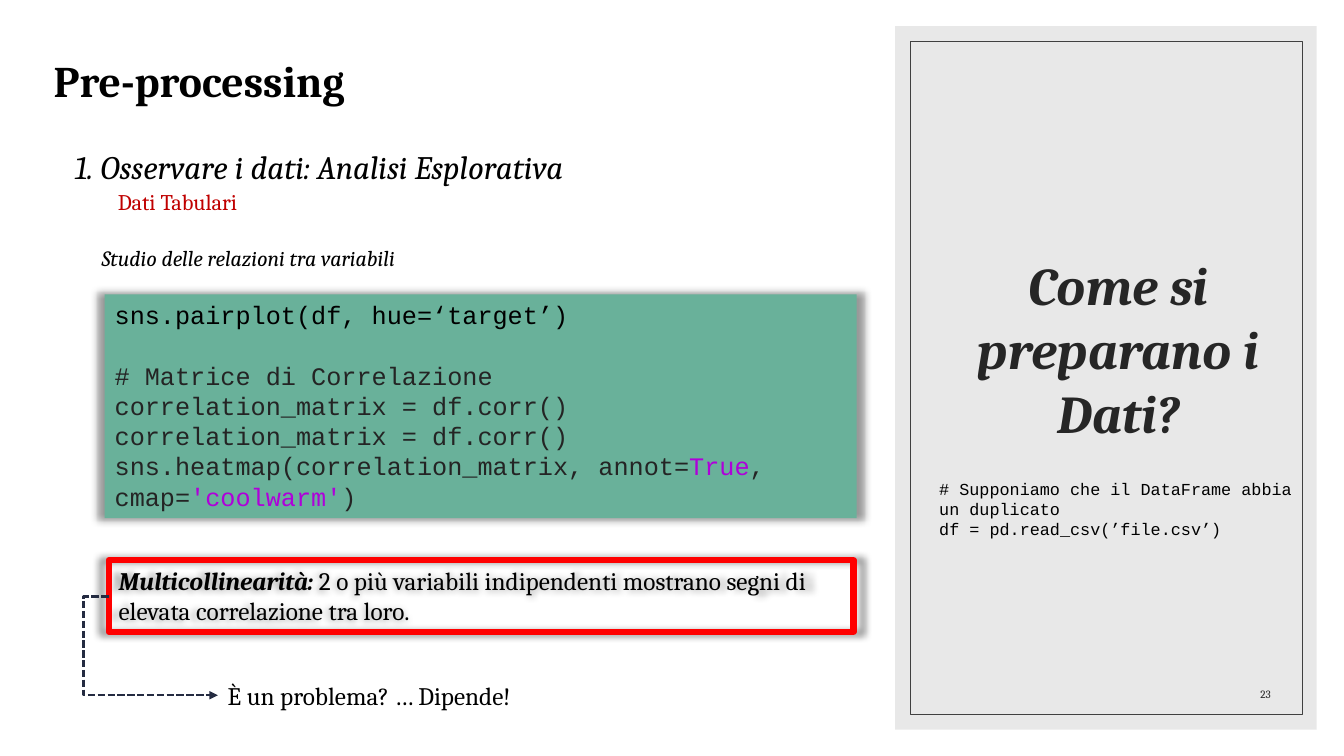
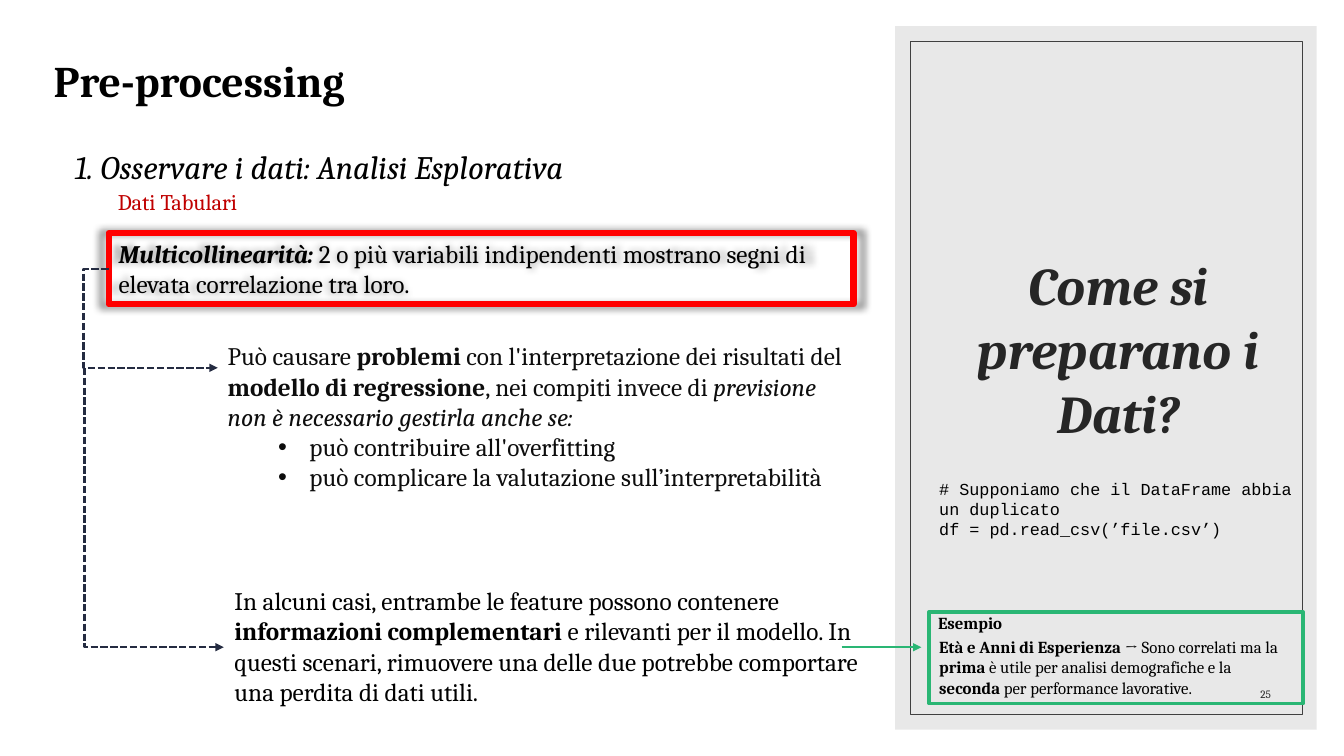
from lxml import etree
from pptx import Presentation
from pptx.dml.color import RGBColor
from pptx.enum import dml, shapes, text
from pptx.oxml import ns
from pptx.util import Cm, Pt

BLACK = RGBColor(0x00, 0x00, 0x00)
INK = RGBColor(0x0D, 0x0D, 0x0D)
DARK = RGBColor(0x26, 0x26, 0x26)
FRAME = RGBColor(0x40, 0x40, 0x40)
PANEL = RGBColor(0xD9, 0xD9, 0xD9)
CODE_BG = RGBColor(0x69, 0xB1, 0x9A)
CODE_TEXT = RGBColor(0x24, 0x24, 0x24)
CODE_VALUE = RGBColor(0xAF, 0x00, 0xDA)
RED = RGBColor(0xFF, 0x00, 0x00)
DARK_RED = RGBColor(0xC0, 0x00, 0x00)
GREEN = RGBColor(0x2A, 0xB6, 0x74)
NAVY = RGBColor(0x24, 0x2B, 0x41)

SERIF, MONO = "Cambria", "Courier New"
TOP, BOTTOM = text.MSO_ANCHOR.TOP, text.MSO_ANCHOR.BOTTOM
MIDDLE = text.MSO_ANCHOR.MIDDLE
LEFT, CENTER, RIGHT = text.PP_ALIGN.LEFT, text.PP_ALIGN.CENTER, text.PP_ALIGN.RIGHT
BOLD, ITALIC = {"bold": True}, {"italic": True}
BODY = {"name": SERIF, "size": 18, "color": BLACK}
CODE = {"name": MONO, "size": 18, "color": CODE_TEXT}


def sub(parent, tag, **attrs):
    """Append a DrawingML element and return it."""
    el = etree.SubElement(parent, ns.qn("a:" + tag))
    for key, value in attrs.items():
        el.set(key, str(value))
    return el


class Deck:
    def __init__(self):
        self.prs = Presentation()
        self.prs.slide_width, self.prs.slide_height = Cm(33.87), Cm(19.05)
        self.s = None

    # Text
    def fill_text(self, sp, paras, fmt, anchor=TOP, align=LEFT, margins=None):
        """Each paragraph is a string or a list of strings and (string, format) pairs."""
        tf = sp.text_frame
        frame = {"word_wrap": True, "vertical_anchor": anchor, **(margins or {})}
        for key, value in frame.items():
            setattr(tf, key, value)
        for i, runs in enumerate(paras):
            p = tf.paragraphs[0] if i == 0 else tf.add_paragraph()
            p.alignment = align
            for item in [runs] if isinstance(runs, str) else runs:
                content, extra = (item, {}) if isinstance(item, str) else item
                r = p.add_run()
                r.text = content
                for key, value in {**fmt, **extra}.items():
                    if key == "color":
                        r.font.color.rgb = value
                    else:
                        setattr(r.font, key, Pt(value) if key == "size" else value)
        return tf

    def text(self, box, paras, fmt, **layout):
        sp = self.s.shapes.add_textbox(*map(Cm, box))
        return self.fill_text(sp, paras, fmt, **layout)

    def bullet(self, p):
        pPr = p._p.get_or_add_pPr()
        pPr.set("marL", str(Cm(2.06)))
        pPr.set("indent", str(-Cm(0.79)))
        sub(pPr, "buFont", typeface="Arial")
        sub(pPr, "buChar", char="•")

    # Shapes
    def rect(self, box, fill=None, line=None, width=1, alpha=None, shadow=False):
        sp = self.s.shapes.add_shape(shapes.MSO_SHAPE.RECTANGLE, *map(Cm, box))
        sp.shadow.inherit = False
        if fill is None:
            sp.fill.background()
        else:
            sp.fill.solid()
            sp.fill.fore_color.rgb = fill
        if alpha:
            sub(sp._element.spPr.find(".//" + ns.qn("a:srgbClr")), "alpha", val=alpha * 1000)
        if line is None:
            sp.line.fill.background()
        else:
            sp.line.color.rgb = line
            sp.line.width = Pt(width)
        if shadow:
            effects = sp._element.spPr.find(ns.qn("a:effectLst"))
            outer = sub(effects, "outerShdw", blurRad=Pt(5), sx=102000, sy=102000,
                        algn="ctr", rotWithShape=0)
            sub(sub(outer, "srgbClr", val="000000"), "alpha", val=40000)
        return sp

    def arrow(self, x1, y1, x2, y2, color, via=None):
        """Straight arrow, or a dashed elbow whose upright runs at x = via."""
        kind = shapes.MSO_CONNECTOR.STRAIGHT if via is None else shapes.MSO_CONNECTOR.ELBOW
        cn = self.s.shapes.add_connector(kind, *map(Cm, (x1, y1, x2, y2)))
        cn.line.color.rgb = color
        cn.line.width = Pt(1.75)
        spPr = cn._element.spPr
        if via is not None:
            cn.line.dash_style = dml.MSO_LINE.SQUARE_DOT
            guides = spPr.find(ns.qn("a:prstGeom")).get_or_add_avLst()
            bend = round((via - x1) / (x2 - x1) * 100000)
            sub(guides, "gd", name="adj1", fmla=f"val {bend}")
        sub(spPr.find(ns.qn("a:ln")), "tailEnd", type="triangle")
        sub(spPr, "effectLst")

    # Parts shared by the slides
    def new_slide(self, number):
        self.s = self.prs.slides.add_slide(self.prs.slide_layouts[6])
        self.rect((22.56, 0.66, 10.62, 17.73), fill=PANEL, alpha=60)
        self.rect((22.94, 1.04, 9.88, 16.97), line=FRAME, width=0.5)
        self.text((23.8, 1.12, 8.79, 16.89), ["Come si preparano i Dati?"],
                  {"name": SERIF, "size": 38, "color": DARK, **BOLD, **ITALIC},
                  anchor=MIDDLE, align=CENTER, margins={"margin_bottom": Cm(1.7)})
        self.text((0.46, 1.12, 9.12, 1.68), ["Pre-processing"],
                  {**BODY, **BOLD, "size": 31.2}, anchor=BOTTOM, align=CENTER)
        self.text((1.63, 2.79, 17.4, 2.03), ["1. Osservare i dati: Analisi Esplorativa"],
                  {**BODY, **ITALIC, "size": 23.4}, anchor=BOTTOM)
        self.text((2.72, 4.62, 4.57, 0.94), ["Dati Tabulari"],
                  {**BODY, "size": 16, "color": DARK_RED})
        self.text((23.42, 11.94, 9.42, 1.8),
                  ["# Supponiamo che il DataFrame abbia un duplicato",
                   "df = pd.read_csv(’file.csv’)"],
                  {"name": MONO, "size": 12, "color": BLACK})
        self.text((28.88, 16.76, 3.4, 1.02), [str(number)],
                  {"name": SERIF, "size": 8, "color": DARK}, anchor=BOTTOM, align=RIGHT)

    def definition(self, top):
        """Red definition box with the elbow arrow that leaves it."""
        sp = self.rect((2.74, top, 18.77, 1.8), line=RED, width=4.5, shadow=True)
        self.fill_text(sp, [[("Multicollinearità: ", {**BOLD, **ITALIC}),
                             "2 o più variabili indipendenti mostrano segni di "
                             "elevata correlazione tra loro."]], BODY)
        self.arrow(2.74, top + 0.91, 5.49, top + 3.4, NAVY, via=2.11)


def correlation_slide(deck):
    deck.new_slide(23)
    deck.text((2.31, 4.93, 17.4, 2.03), ["Studio delle relazioni tra variabili"],
              {**BODY, **ITALIC, "size": 15.6}, anchor=BOTTOM)

    # Code block
    value = {"color": CODE_VALUE}
    sp = deck.rect((2.64, 7.42, 18.95, 5.64), fill=CODE_BG, shadow=True)
    tf = deck.fill_text(sp, [
        [("sns.pairplot(df, hue=‘target’)", {"color": BLACK})],
        "# Matrice di Correlazione",
        "correlation_matrix = df.corr()",
        "correlation_matrix = df.corr()",
        ["sns.heatmap(correlation_matrix, annot=", ("True", value), ", cmap=",
         ("'coolwarm'", value), ")"],
    ], CODE)
    tf.paragraphs[1].space_before = Pt(21.6)

    # Definition and question
    deck.definition(14.12)
    deck.text((5.49, 17.02, 9.65, 1.02), ["È un problema? … Dipende!"], BODY)


def multicollinearity_slide(deck):
    deck.new_slide(25)
    deck.definition(5.87)

    # Consequences
    tf = deck.text((5.49, 8.46, 16, 5.64), [
        ["Può causare ", ("problemi", BOLD), " con l'interpretazione dei risultati del ",
         ("modello di regressione", BOLD), ", nei compiti invece di ",
         ("previsione non è necessario gestirla anche se:", ITALIC)],
        "può contribuire all'overfitting",
        "può complicare la valutazione sull’interpretabilità",
    ], {**BODY, "color": INK})
    for p in tf.paragraphs[1:]:
        deck.bullet(p)

    # Complementary features
    deck.arrow(2.13, 9.27, 5.64, 16.31, NAVY, via=2.13)
    deck.text((5.66, 14.63, 16.94, 3.33), [
        ["In alcuni casi, entrambe le feature possono contenere ",
         ("informazioni complementari", BOLD),
         " e rilevanti per il modello. In questi scenari, rimuovere una delle due "
         "potrebbe comportare una perdita di dati utili."]], BODY)

    # Example
    small = {**BODY, "size": 12}
    sp = deck.rect((23.42, 15.42, 9.42, 2.31), line=GREEN, width=2.75)
    deck.fill_text(sp, [
        [("Età e Anni di Esperienza", BOLD), " → Sono correlati ma la ", ("prima", BOLD),
         " è utile per analisi demografiche e la ", ("seconda", BOLD),
         " per performance lavorative."]], small, margins={"margin_top": Cm(0.63)})
    deck.arrow(21.21, 16.31, 23.22, 16.31, GREEN)
    deck.text((23.39, 15.32, 4.04, 0.76), ["Esempio"], {**small, **BOLD})


def main():
    deck = Deck()
    correlation_slide(deck)
    multicollinearity_slide(deck)
    deck.prs.save("out.pptx")


if __name__ == "__main__":
    main()
